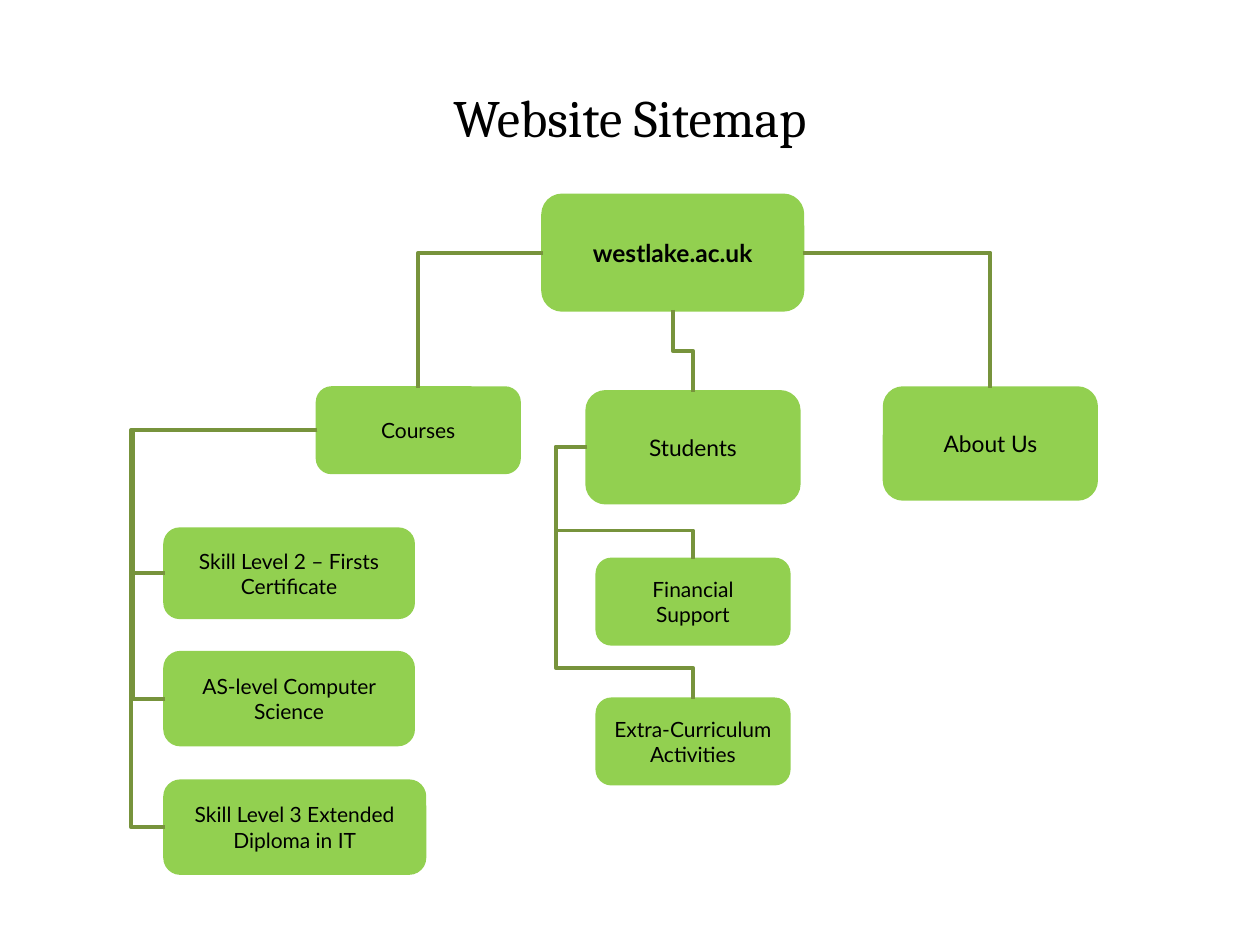
from lxml.etree import SubElement
from pptx import Presentation
from pptx.dml.color import RGBColor
from pptx.enum.shapes import MSO_CONNECTOR as Connector, MSO_SHAPE as Shape
from pptx.enum.text import MSO_ANCHOR as Anchor, PP_ALIGN as Align
from pptx.oxml.ns import qn
from pptx.util import Inches, Pt

COLOURS = {"box": "92D050", "link": "77933C", "text": "000000"}

PAGES = {
    "home": ("westlake.ac.uk", 4.31, 1.55, 2.06, 0.91, 14),
    "courses": ("Courses", 2.52, 3.08, 1.6, 0.67, 12),
    "students": ("Students", 4.66, 3.11, 1.68, 0.88, 13),
    "about": ("About Us", 7.02, 3.08, 1.68, 0.88, 13),
    "firsts": ("Skill Level 2 – Firsts Certificate", 1.31, 4.2, 1.97, 0.7, 12),
    "as_level": ("AS-level Computer Science", 1.31, 5.18, 1.97, 0.73, 12),
    "diploma": ("Skill Level 3 Extended Diploma in IT", 1.31, 6.2, 2.06, 0.73, 12),
    "support": ("Financial Support", 4.74, 4.44, 1.52, 0.67, 12),
    "activities": ("Extra-Curriculum Activities", 4.74, 5.55, 1.52, 0.67, 12),
}


def colour(name):
    """Return a named colour."""
    return RGBColor.from_string(COLOURS[name])


def style_text(frame, size, font, bold=False):
    """Centre the text of a frame and set its font."""
    frame.word_wrap = True
    frame.vertical_anchor = Anchor.MIDDLE
    for para in frame.paragraphs:
        para.alignment = Align.CENTER
        para.font.name = font
        para.font.size = Pt(size)
        para.font.bold = bold
        para.font.color.rgb = colour("text")


def add_title(slide, text):
    """Fill and place the slide title."""
    title = slide.shapes.title
    title.left, title.top = Inches(0.5), Inches(0.3)
    title.width, title.height = Inches(9), Inches(1.25)
    title.text = text
    style_text(title.text_frame, 30, "Cambria")


def add_page_box(slide, text, left, top, width, height, size, bold):
    """Add the rounded box of one website page."""
    box = slide.shapes.add_shape(
        Shape.ROUNDED_RECTANGLE, *map(Inches, (left, top, width, height)))
    box.shadow.inherit = False
    box.fill.solid()
    box.fill.fore_color.rgb = colour("box")
    box.line.color.rgb = colour("box")
    box.line.width = Pt(2)
    box.text = text
    style_text(box.text_frame, size, "Lato", bold)


def side(name, where):
    """Return the middle of one side of a page's box."""
    left, top, width, height = PAGES[name][1:5]
    return {
        "left": (left, top + height / 2),
        "right": (left + width, top + height / 2),
        "top": (left + width / 2, top),
        "bottom": (left + width / 2, top + height),
    }[where]


def add_link(slide, start, end, preset, *bends):
    """Join two points with a bent connector whose bends are fractions."""
    link = slide.shapes.add_connector(
        Connector.ELBOW, *map(Inches, (*start, *end)))
    link.line.color.rgb = colour("link")
    link.line.width = Pt(2.25)
    properties = link._element.spPr
    SubElement(properties, qn("a:effectLst"))
    geometry = properties.find(qn("a:prstGeom"))
    geometry.set("prst", preset)
    guides = geometry.find(qn("a:avLst"))
    for number, bend in enumerate(bends, 1):
        SubElement(guides, qn("a:gd"), name=f"adj{number}",
                   fmla=f"val {round(bend * 100000)}")


def add_links(slide):
    """Draw all the links of the sitemap."""
    for where, child in (("left", "courses"), ("right", "about")):
        add_link(slide, side("home", where), side(child, "top"), "bentConnector2")
    add_link(slide, side("home", "bottom"), side("students", "top"),
             "bentConnector4", 0, 0.5)

    start = side("courses", "left")
    for child, trunk in (("firsts", 1.06), ("as_level", 1.06), ("diploma", 1.04)):
        end = side(child, "left")
        bend = (trunk - start[0]) / (end[0] - start[0])
        add_link(slide, start, end, "bentConnector3", bend)

    start = side("students", "left")
    for child, shelf in (("support", 4.21), ("activities", 5.3)):
        end = side(child, "top")
        across = (4.41 - start[0]) / (end[0] - start[0])
        down = (shelf - start[1]) / (end[1] - start[1])
        add_link(slide, start, end, "bentConnector4", across, down)


def main():
    """Build the sitemap slide."""
    deck = Presentation()
    deck.slide_width, deck.slide_height = Inches(10), Inches(7.5)
    slide = deck.slides.add_slide(deck.slide_layouts[5])
    add_title(slide, "Website Sitemap")
    for name, page in PAGES.items():
        add_page_box(slide, *page, bold=name == "home")
    add_links(slide)
    deck.save("out.pptx")


if __name__ == "__main__":
    main()
